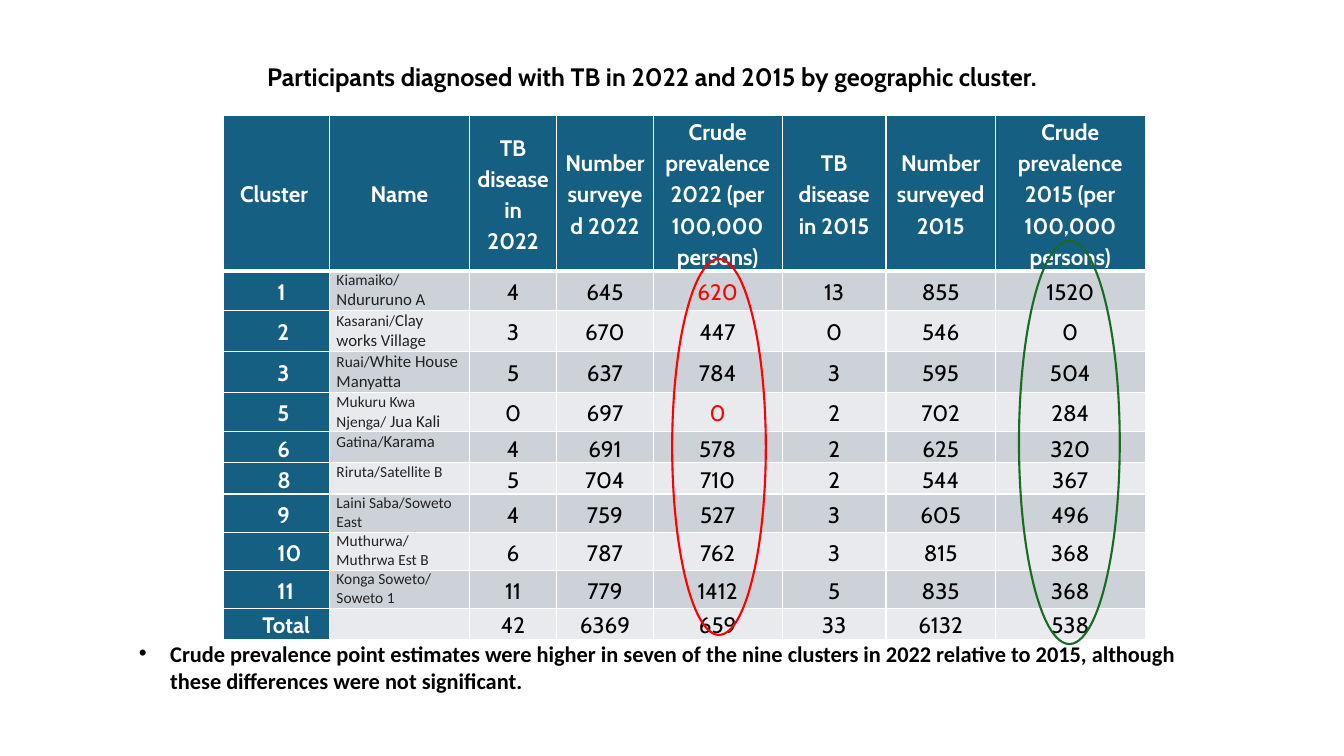
from lxml import etree
from pptx import Presentation
from pptx.dml.color import RGBColor
from pptx.enum.shapes import MSO_SHAPE
from pptx.enum.text import MSO_ANCHOR, PP_ALIGN
from pptx.oxml.ns import qn
from pptx.util import Cm, Pt

TITLE = "Participants diagnosed with TB in 2022 and 2015 by geographic cluster."
FINDING = ("Crude prevalence point estimates were higher in seven of the nine clusters in 2022 "
           "relative to 2015, although these differences were not significant.")
HEADERS = ["Cluster ", "Name", "TB disease in 2022", "Number surveyed 2022",
           "Crude prevalence 2022 (per 100,000 persons)", "TB disease in 2015",
           "Number surveyed 2015", "Crude prevalence 2015 (per 100,000 persons)"]
CLUSTERS = [
    ("1", ("Kiamaiko/", "Ndururuno A"), 4, 645, 620, 13, 855, 1520),
    ("2", ("Kasarani/", "Clay works Village"), 3, 670, 447, 0, 546, 0),
    ("3", ("Ruai/", "White House Manyatta"), 5, 637, 784, 3, 595, 504),
    ("5", ("Mukuru Kwa Njenga/", " Jua Kali"), 0, 697, 0, 2, 702, 284),
    ("6", ("Gatina/", "Karama"), 4, 691, 578, 2, 625, 320),
    ("8", ("Riruta/Satellite B",), 5, 704, 710, 2, 544, 367),
    ("9", ("Laini Saba/Soweto East",), 4, 759, 527, 3, 605, 496),
    ("10", ("Muthurwa/Muthrwa Est B",), 6, 787, 762, 3, 815, 368),
    ("11", ("Konga Soweto/ Soweto 1",), 11, 779, 1412, 5, 835, 368),
    ("Total", (), 42, 6369, 659, 33, 6132, 538),
]
LOWER_CLUSTERS = ("1", "5")
PREVALENCE_2022 = 4
COLUMN_WIDTHS = [2.66, 3.53, 2.2, 2.43, 3.25, 2.62, 2.75, 3.78]
HEADER_HEIGHT, ROW_HEIGHT, TABLE_HEIGHT = 3.48, 0.76, 12.98

BLACK = RGBColor(0x00, 0x00, 0x00)
WHITE = RGBColor(0xFF, 0xFF, 0xFF)
CHARCOAL = RGBColor(0x22, 0x22, 0x22)
TEAL = RGBColor(0x15, 0x60, 0x82)
DARK_BAND = RGBColor(0xCC, 0xD2, 0xD8)
LIGHT_BAND = RGBColor(0xE8, 0xEA, 0xED)
RED = RGBColor(0xFF, 0x00, 0x00)
GREEN = RGBColor(0x19, 0x6B, 0x24)
MIDDLE, TOP = MSO_ANCHOR.MIDDLE, MSO_ANCHOR.TOP
LEFT, CENTER = PP_ALIGN.LEFT, PP_ALIGN.CENTER
OVAL = MSO_SHAPE.OVAL

RINGS = [(16.94, 6.53, 2.36, 9.47, RED), (25.68, 6.07, 2.54, 10.16, GREEN)]


def write(frame, text, size=16, font="Cabin", color=BLACK, bold=False, align=LEFT,
          spacing=None, after=None, indent=0, bullet=None):
    """Add a formatted run to the first paragraph of a text frame."""
    para = frame.paragraphs[0]
    para.alignment = align
    if spacing:
        para.line_spacing = spacing
    if after:
        para.space_after = Pt(after)
    properties = para._p.get_or_add_pPr()
    if indent:
        properties.set("marL", str(Cm(indent)))
        properties.set("indent", str(-Cm(indent) if bullet else 0))
    if bullet:
        etree.SubElement(properties, qn("a:buFont"), typeface="Arial")
        etree.SubElement(properties, qn("a:buChar"), char=bullet)
    span = para.add_run()
    span.text = text
    span.font.size = Pt(size)
    span.font.name = font
    span.font.bold = bold
    span.font.color.rgb = color


def style_cell(cell, fill, anchor, top, bottom):
    """Set the margins, white borders and fill of a table cell."""
    cell.margin_left = cell.margin_right = Cm(0.18)
    cell.margin_top = cell.margin_bottom = 0
    cell.vertical_anchor = anchor
    properties = cell._tc.get_or_add_tcPr()
    for side, width in (("L", 1), ("R", 1), ("T", top), ("B", bottom)):
        line = etree.SubElement(properties, qn("a:ln" + side), w=str(Pt(width)))
        solid = etree.SubElement(line, qn("a:solidFill"))
        etree.SubElement(solid, qn("a:srgbClr"), val=str(WHITE))
    cell.fill.solid()
    cell.fill.fore_color.rgb = fill


def add_prevalence_table(page):
    """Add the table of clusters."""
    holder = page.shapes.add_table(len(CLUSTERS) + 1, len(HEADERS), Cm(5.64), Cm(2.9),
                                   Cm(sum(COLUMN_WIDTHS)), Cm(TABLE_HEIGHT))
    table = holder.table
    table.first_row = table.horz_banding = False
    for column, width in zip(table.columns, COLUMN_WIDTHS):
        column.width = Cm(width)
    for number, row in enumerate(table.rows):
        row.height = Cm(ROW_HEIGHT if number else HEADER_HEIGHT)
    holder.height = Cm(TABLE_HEIGHT)

    spaced = {"spacing": 1.15, "after": 10}
    for column, header in enumerate(HEADERS):
        cell = table.cell(0, column)
        style_cell(cell, TEAL, MIDDLE, 1, 3)
        write(cell.text_frame, header, color=WHITE, bold=True, align=CENTER, **spaced)
    for number, record in enumerate(CLUSTERS, 1):
        band = DARK_BAND if number % 2 else LIGHT_BAND
        cluster = record[0]
        for column, value in enumerate(record):
            cell = table.cell(number, column)
            frame = cell.text_frame
            style_cell(cell, band if column else TEAL, TOP if column == 1 else MIDDLE,
                       3 if number == 1 else 1, 1)
            if column == 0:
                write(frame, cluster, color=WHITE, bold=True,
                      indent=0.79 if cluster == "Total" else 1.17, **spaced)
            elif column == 1:
                for part, size in zip(value, (11, 12)):
                    write(frame, part, size=size, font="Calibri", color=CHARCOAL)
                if not value:
                    etree.SubElement(frame.paragraphs[0]._p, qn("a:endParaRPr"), sz="1100")
            else:
                lower = column == PREVALENCE_2022 and cluster in LOWER_CLUSTERS
                write(frame, str(value), color=RED if lower else BLACK, align=CENTER, **spaced)


def main():
    """Build the slide and save it."""
    deck = Presentation()
    deck.slide_width, deck.slide_height = Cm(33.87), Cm(19.05)
    page = deck.slides.add_slide(deck.slide_layouts[5])

    title = page.shapes.title
    title.left, title.top, title.width, title.height = Cm(6.48), Cm(1.42), Cm(21.41), Cm(1.02)
    title.text_frame.vertical_anchor = TOP
    write(title.text_frame, TITLE, size=18, bold=True)

    add_prevalence_table(page)

    box = page.shapes.add_textbox(Cm(3.25), Cm(16), Cm(27.84), Cm(1.63))
    box.text_frame.word_wrap = True
    write(box.text_frame, FINDING, font="Calibri", bold=True, indent=0.79, bullet="•")

    for left, top, width, height, color in RINGS:
        ring = page.shapes.add_shape(OVAL, Cm(left), Cm(top), Cm(width), Cm(height))
        ring.shadow.inherit = False
        ring.fill.background()
        ring.line.color.rgb = color
        ring.line.width = Pt(1.5)

    deck.save("out.pptx")


if __name__ == "__main__":
    main()
